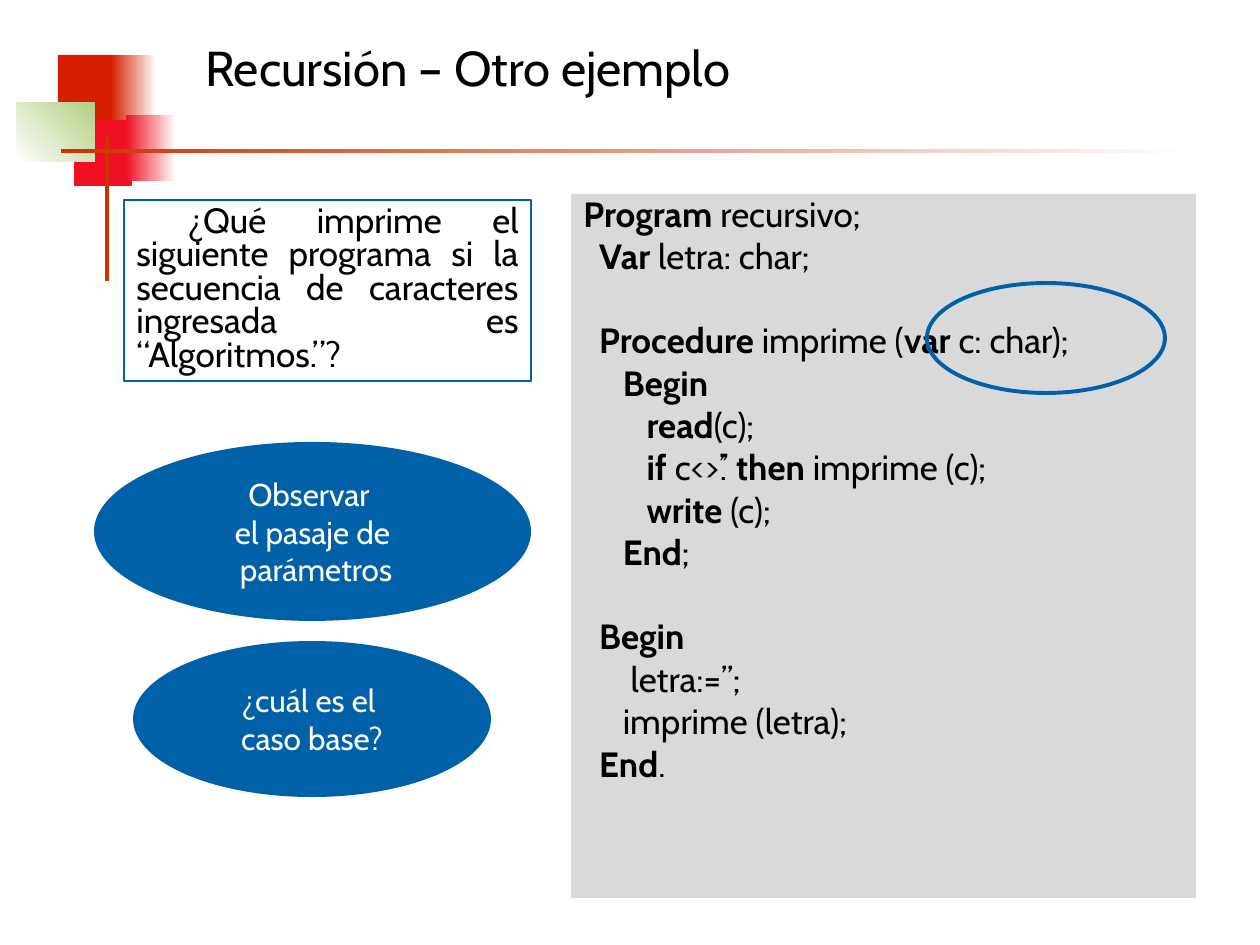
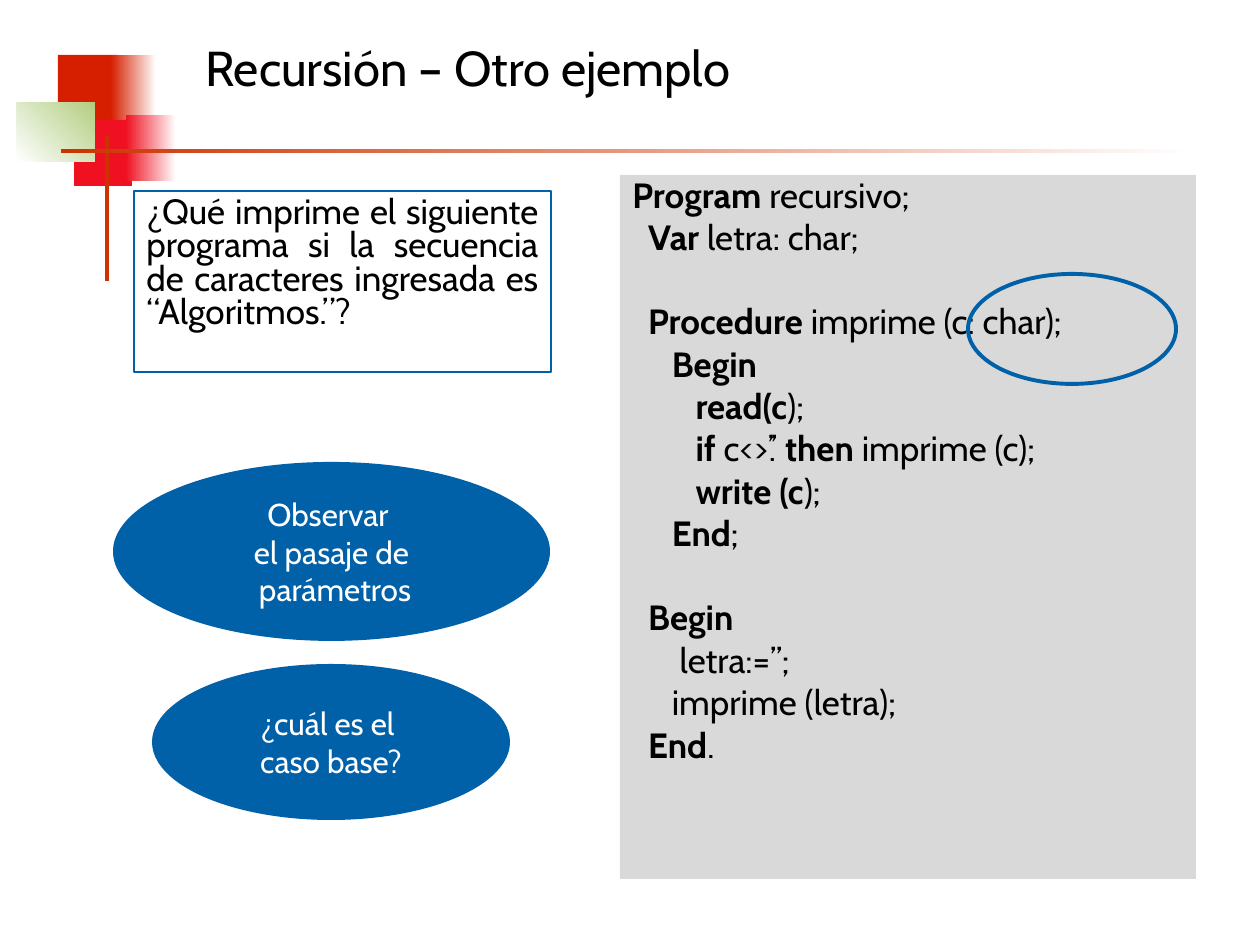
from dataclasses import dataclass
from pptx import Presentation
from pptx.dml.color import RGBColor
from pptx.enum.shapes import MSO_SHAPE
from pptx.enum.text import MSO_ANCHOR, PP_ALIGN
from pptx.util import Emu, Pt


@dataclass(frozen=True)
class Theme:
    font: str = "Cabin"
    ink: str = "000000"
    white: str = "FFFFFF"
    blue: str = "0060A8"
    gray: str = "D9D9D9"
    brick: str = "D61F00"
    red: str = "EF1121"
    green: str = "B3CE82"
    rust: str = "CC3300"
    title: int = 28
    body: int = 20
    note: int = 18


THEME = Theme()
TITLE = "Recursión – Otro ejemplo"
QUERY = ("¿Qué imprime el siguiente programa si la secuencia de caracteres "
         "ingresada es “Algoritmos.”?")
NOTES = (["Observar ", "el pasaje de", " parámetros"],
         ["¿cuál es el ", "caso base?"])
CODE = """*Program* recursivo;
  *Var* letra: char;

  *Procedure* imprime {head}
     *Begin*
        {read}
        *if* c<>’.’ *then* imprime (c);
        {write}
     *End*;

  *Begin*
      letra:=’’;
     imprime (letra);
  *End*."""


def px(count):
    return Emu(round(count * 914400 / 126))


def rgb(code):
    return RGBColor.from_string(code)


def add_form(slide, box, kind=MSO_SHAPE.RECTANGLE, fill=None, fade=None,
             angle=0, line=None, width=0.75):
    form = slide.shapes.add_shape(kind, *map(px, box))
    form.shadow.inherit = False
    if fade:
        form.fill.gradient()
        form.fill.gradient_angle = angle
        for stop, color in zip(form.fill.gradient_stops, (fill, fade)):
            stop.color.rgb = rgb(color)
    elif fill:
        form.fill.solid()
        form.fill.fore_color.rgb = rgb(fill)
    else:
        form.fill.background()
    if line:
        form.line.color.rgb = rgb(line)
        form.line.width = Pt(width)
    else:
        form.line.fill.background()
    return form


def set_text(form, lines, size=THEME.body, color=THEME.ink, align=PP_ALIGN.LEFT,
             anchor=MSO_ANCHOR.TOP, wrap=True, pitch=1.0, space=0, blank=0,
             indent=0):
    frame = form.text_frame
    frame.word_wrap = wrap
    frame.vertical_anchor = anchor
    para, gap = None, 0
    for line in lines:
        if not line:
            gap += blank
            continue
        first = para is None
        para = frame.paragraphs[0] if first else frame.add_paragraph()
        para.alignment = align
        para.line_spacing = pitch
        para.space_before = Pt(0 if first else space + gap)
        gap = 0
        if indent:
            para._p.get_or_add_pPr().set("indent", str(px(indent)))
        for spot, part in enumerate(line.split("*")):
            if part:
                run = para.add_run()
                run.text = part
                run.font.name = THEME.font
                run.font.size = Pt(size)
                run.font.bold = spot % 2 == 1
                run.font.color.rgb = rgb(color)


def draw_frame(slide, left, top):
    tiles = [
        ((41, 0, 60, 66), THEME.brick, None, 0),
        ((94, 0, 45, 66), THEME.brick, THEME.white, 0),
        ((57, 65, 58, 66), THEME.red, None, 0),
        ((109, 60, 50, 66), THEME.red, THEME.white, 0),
        ((0, 48, 78, 59), THEME.white, THEME.green, 45),
        ((88, 81, 4, 145), THEME.rust, None, 0),
        ((44, 94, 1134, 4), THEME.rust, THEME.white, 0),
    ]
    for (x, y, wide, high), fill, fade, angle in tiles:
        add_form(slide, (left + x, top + y, wide, high), fill=fill,
                 fade=fade, angle=angle)


def draw_title(slide, box):
    form = slide.shapes.add_textbox(*map(px, box))
    set_text(form, [TITLE], size=THEME.title, anchor=MSO_ANCHOR.MIDDLE)


def draw_code(slide, box, **parts):
    form = add_form(slide, box, fill=THEME.gray)
    set_text(form, CODE.format(**parts).split("\n"), pitch=0.8, space=5, blank=24)


def draw_ring(slide, box, x, y, wide):
    add_form(slide, (box[0] + x, box[1] + y, wide, 110), MSO_SHAPE.OVAL,
             line=THEME.blue, width=2.25)


def draw_query(slide, box, indent):
    form = add_form(slide, box, line=THEME.blue)
    set_text(form, [QUERY], align=PP_ALIGN.JUSTIFY, pitch=0.8, indent=indent)


def draw_notes(slide, box, gap):
    left, top, full = box
    for lines, wide, high in zip(NOTES, (full, full - 79), (179, 156)):
        spot = (left + (full - wide) // 2, top, wide, high)
        form = add_form(slide, spot, MSO_SHAPE.OVAL, fill=THEME.blue)
        set_text(form, lines, size=THEME.note, color=THEME.white,
                 align=PP_ALIGN.CENTER, anchor=MSO_ANCHOR.MIDDLE, wrap=False)
        top += high + gap


def draw_slide(deck, code, parts, ring, query, indent, notes, gap):
    slide = deck.slides.add_slide(deck.slide_layouts[6])
    draw_frame(slide, 17, 55)
    draw_code(slide, code, **parts)
    draw_title(slide, (193, 14, 1002, 106))
    draw_query(slide, query, indent)
    draw_notes(slide, notes, gap)
    draw_ring(slide, code, *ring)


def main():
    deck = Presentation()
    deck.slide_width, deck.slide_height = px(1260), px(945)
    draw_slide(deck, code=(571, 194, 625, 704),
               parts={"head": "(*var* c: char);", "read": "*read*(c);",
                      "write": "*write *(c);"},
               ring=(356, 89, 238), query=(124, 200, 407, 181), indent=51,
               notes=(94, 442, 437), gap=20)
    draw_slide(deck, code=(620, 175, 576, 704),
               parts={"head": "(c: char);", "read": "*read(c*);",
                      "write": "*write (c*);"},
               ring=(348, 99, 208), query=(134, 191, 417, 181), indent=0,
               notes=(113, 462, 437), gap=23)
    deck.save("out.pptx")


if __name__ == "__main__":
    main()
